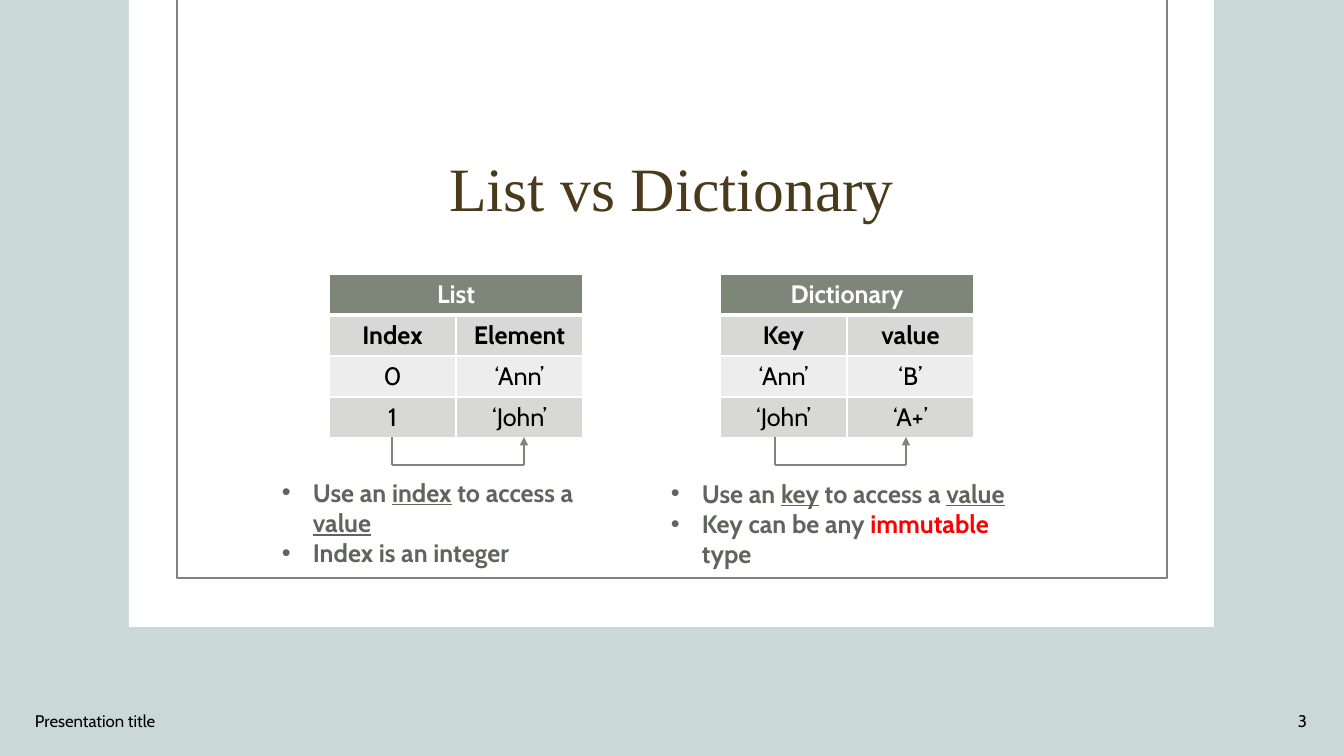
import pptx
import pptx.dml.color
import pptx.enum.shapes
import pptx.enum.text
import pptx.oxml
import pptx.oxml.ns
import pptx.util
from lxml import etree

RGB = pptx.dml.color.RGBColor
MIST = RGB(0xCA, 0xD8, 0xD6)
WHITE = RGB(0xFF, 0xFF, 0xFF)
BLACK = RGB(0, 0, 0)
SAGE = RGB(0x7E, 0x86, 0x79)
MOSS = RGB(0x5E, 0x65, 0x5B)
BROWN = RGB(0x4A, 0x3A, 0x1C)
RED = RGB(0xFF, 0, 0)
BAND = RGB(0xD8, 0xD9, 0xD7)
PALE = RGB(0xEC, 0xED, 0xEC)

ALIGN = pptx.enum.text.PP_ALIGN
ANCHOR = pptx.enum.text.MSO_ANCHOR
SHAPE = pptx.enum.shapes.MSO_SHAPE
LINE = pptx.enum.shapes.MSO_CONNECTOR


def px(n):
    return pptx.util.Emu(round(n * 914400 / 100.8))


def add(parent, tag, **attrs):
    return etree.SubElement(parent, pptx.oxml.ns.qn(tag), attrs)


class Board:
    """Draws styled elements on one slide."""

    body = "Cabin"
    serif = "Times New Roman"

    def __init__(self, deck):
        self.slide = deck.slides.add_slide(deck.slide_layouts[6])
        self.shapes = self.slide.shapes
        fill = self.slide.background.fill
        fill.solid()
        fill.fore_color.rgb = MIST

    def style(self, para, size, color, bold=False, face=body):
        font = para.font
        font.size = pptx.util.Pt(size)
        font.name = face
        font.bold = bold
        font.color.rgb = color

    def rect(self, x, y, w, h, fill=None, line=None):
        box = self.shapes.add_shape(SHAPE.RECTANGLE, px(x), px(y), px(w), px(h))
        box.shadow.inherit = False
        if fill is None:
            box.fill.background()
        else:
            box.fill.solid()
            box.fill.fore_color.rgb = fill
        if line is None:
            box.line.fill.background()
        else:
            box.line.color.rgb = line
            box.line.width = pptx.util.Pt(1)

    def frame(self, x, y, w, h, anchor):
        box = self.shapes.add_textbox(px(x), px(y), px(w), px(h))
        frame = box.text_frame
        frame.word_wrap = True
        frame.vertical_anchor = anchor
        return frame

    def text(self, x, y, w, h, words, size, color, align=ALIGN.LEFT, face=body):
        para = self.frame(x, y, w, h, ANCHOR.MIDDLE).paragraphs[0]
        para.text = words
        para.alignment = align
        self.style(para, size, color, face=face)
        return para

    def bullets(self, x, y, w, h, items):
        frame = self.frame(x, y, w, h, ANCHOR.TOP)
        for i, item in enumerate(items):
            para = frame.add_paragraph() if i else frame.paragraphs[0]
            props = para._p.get_or_add_pPr()
            props.set("marL", str(px(31)))
            props.set("indent", str(-px(31)))
            add(props, "a:buFont", typeface="Arial")
            add(props, "a:buChar", char="•")
            self.style(para, 18, MOSS, bold=True)
            for words, mark in item:
                run = para.add_run()
                run.text = words
                if mark == "under":
                    run.font.underline = True
                elif mark == "red":
                    run.font.color.rgb = RED

    def edges(self, cell, row):
        props = cell._tc.get_or_add_tcPr()
        widths = {"L": 1, "R": 1, "T": 3 if row == 1 else 1, "B": 1 if row else 3}
        for side, width in widths.items():
            line = add(props, "a:ln" + side, w=str(pptx.util.Pt(width)))
            add(add(line, "a:solidFill"), "a:srgbClr", val=str(WHITE))

    def table(self, x, y, col, row, rows):
        grid = self.shapes.add_table(
            len(rows), 2, px(x), px(y), px(2 * col), px(len(rows) * row)
        ).table
        for c in grid.columns:
            c.width = px(col)
        for r in grid.rows:
            r.height = px(row)
        grid.cell(0, 0).merge(grid.cell(0, 1))
        for i, words in enumerate(rows):
            for j in range(2):
                cell = grid.cell(i, j)
                self.edges(cell, i)
                cell.fill.solid()
                cell.fill.fore_color.rgb = (SAGE, BAND, PALE, BAND)[i]
                if j < len(words):
                    para = cell.text_frame.paragraphs[0]
                    para.text = words[j]
                    para.alignment = ALIGN.CENTER
                    self.style(para, 18, BLACK if i else WHITE, bold=i < 2)

    def line(self, x1, y1, x2, y2, arrow=False):
        link = self.shapes.add_connector(LINE.STRAIGHT, px(x1), px(y1), px(x2), px(y2))
        link.line.color.rgb = SAGE
        link.line.width = pptx.util.Pt(1.5)
        if arrow:
            add(link.line._get_or_add_ln(), "a:tailEnd", type="triangle")
        add(link._element.spPr, "a:effectLst")

    def link(self, left, right, top, low):
        self.line(left, top, left, low)
        self.line(left, low, right, low)
        self.line(right, low, right, top, arrow=True)


def main():
    deck = pptx.Presentation()
    deck.slide_width, deck.slide_height = px(1344), px(756)
    board = Board(deck)

    board.rect(129, 0, 1085, 627, fill=WHITE)
    board.rect(177, -1, 990, 579, line=SAGE)
    title = board.text(
        193, 119, 958, 146, "List vs Dictionary", 44, BROWN, ALIGN.CENTER, board.serif
    )
    title.line_spacing = 0.9
    board.text(25, 701, 454, 40, "Presentation title", 12, BLACK)
    board.text(1015, 701, 302, 40, "3", 12, BLACK, ALIGN.RIGHT)

    board.table(329, 274, 127, 41, [
        ["List"], ["Index", "Element"], ["0", "‘Ann’"], ["1", "‘John’"],
    ])
    board.table(720, 274, 127, 41, [
        ["Dictionary"], ["Key", "value"], ["‘Ann’", "‘B’"], ["‘John’", "‘A+’"],
    ])
    board.link(392, 524, 437, 465)
    board.link(775, 906, 437, 465)

    board.bullets(272, 472, 372, 72, [
        [("Use an ", ""), ("index", "under"), (" to access a ", ""), ("value", "under")],
        [("Index is an integer", "")],
    ])
    board.bullets(661, 473, 372, 72, [
        [("Use an ", ""), ("key", "under"), (" to access a ", ""), ("value", "under")],
        [("Key can be any ", ""), ("immutable", "red"), (" type", "")],
    ])
    deck.save("out.pptx")


if __name__ == "__main__":
    main()
